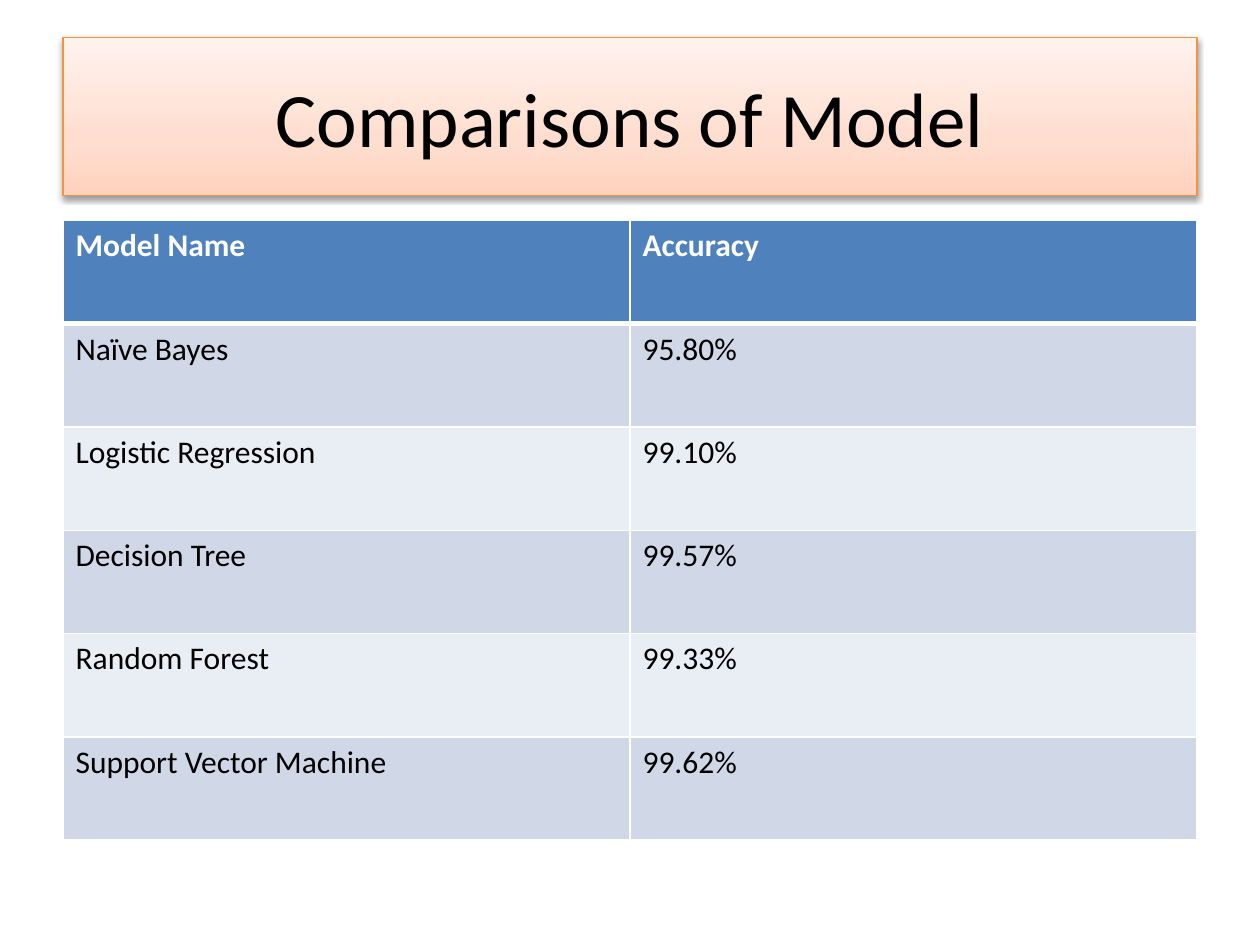
"""Build a slide that compares the accuracy of five classification models."""
from copy import deepcopy
from dataclasses import dataclass

from lxml.etree import SubElement
from pptx import Presentation
from pptx.dml.color import RGBColor
from pptx.enum.text import MSO_ANCHOR, PP_ALIGN
from pptx.oxml.ns import qn
from pptx.util import Inches, Pt

COLORS = {
    "black": "000000",
    "white": "FFFFFF",
    "header": "4F81BD",
    "odd_row": "D0D8E8",
    "even_row": "E9EDF4",
    "title_line": "F69240",
}
TITLE_GRADIENT = [(0, "FFD2BD"), (0.35, "FFDED0"), (1, "FFF2ED")]
TITLE_SHADOW = {"blurRad": Pt(3.1), "dist": Pt(1.6), "dir": 90 * 60000, "rotWithShape": 0}
LEFT, WIDTH = Inches(0.5), Inches(9)
ROW_HEIGHT = Inches(0.82)


@dataclass
class ModelScore:
    name: str
    accuracy: str


SCORES = [
    ModelScore("Naïve Bayes", "95.80%"),
    ModelScore("Logistic Regression", "99.10%"),
    ModelScore("Decision Tree", "99.57%"),
    ModelScore("Random Forest", "99.33%"),
    ModelScore("Support Vector Machine", "99.62%"),
]


def rgb(name: str) -> RGBColor:
    return RGBColor.from_string(COLORS[name])


def format_text(paragraph, size: int, color: str, bold: bool = False) -> None:
    font = paragraph.runs[0].font
    for attribute, value in {"name": "Calibri", "size": Pt(size), "bold": bold}.items():
        setattr(font, attribute, value)
    font.color.rgb = rgb(color)


def fill_title_gradient(shape) -> None:
    shape.fill.gradient()
    shape.fill.gradient_angle = 90
    stop_list = shape.element.spPr.find(".//" + qn("a:gsLst"))
    stop_list.insert(1, deepcopy(stop_list[0]))
    for stop, (position, color) in zip(shape.fill.gradient_stops, TITLE_GRADIENT):
        stop.position = position
        stop.color.rgb = RGBColor.from_string(color)


def add_title_shadow(shape) -> None:
    shape.shadow.inherit = False
    effects = shape.element.spPr.find(qn("a:effectLst"))
    attributes = {key: str(value) for key, value in TITLE_SHADOW.items()}
    shadow = SubElement(effects, qn("a:outerShdw"), attributes)
    color = SubElement(shadow, qn("a:srgbClr"), val=COLORS["black"])
    SubElement(color, qn("a:alpha"), val="38000")


def draw_title(slide, text: str) -> None:
    title = slide.shapes.title
    placement = {"left": LEFT, "top": Inches(0.3), "width": WIDTH, "height": Inches(1.25)}
    for attribute, value in placement.items():
        setattr(title, attribute, value)
    fill_title_gradient(title)
    title.line.color.rgb = rgb("title_line")
    title.line.width = Pt(0.75)
    add_title_shadow(title)
    title.text_frame.text = text
    title.text_frame.vertical_anchor = MSO_ANCHOR.MIDDLE
    paragraph = title.text_frame.paragraphs[0]
    paragraph.alignment = PP_ALIGN.CENTER
    format_text(paragraph, 44, "black")


def set_borders(cell, top: float, bottom: float) -> None:
    properties = cell._tc.get_or_add_tcPr()
    for side, width in {"L": 1, "R": 1, "T": top, "B": bottom}.items():
        line = SubElement(properties, qn(f"a:ln{side}"), w=str(Pt(width)))
        fill = SubElement(line, qn("a:solidFill"))
        SubElement(fill, qn("a:srgbClr"), val=COLORS["white"])


def draw_row(table, index: int, score: ModelScore) -> None:
    is_header = index == 0
    fill_color = "header" if is_header else "odd_row" if index % 2 else "even_row"
    table.rows[index].height = ROW_HEIGHT
    for cell, text in zip(table.rows[index].cells, (score.name, score.accuracy)):
        cell.text = text
        format_text(cell.text_frame.paragraphs[0], 18, "white" if is_header else "black", is_header)
        set_borders(cell, top=3 if index == 1 else 1, bottom=3 if is_header else 1)
        cell.fill.solid()
        cell.fill.fore_color.rgb = rgb(fill_color)


def draw_table(slide, rows: list[ModelScore]) -> None:
    frame = slide.shapes.add_table(len(rows), 2, LEFT, Inches(1.75), WIDTH, ROW_HEIGHT * len(rows))
    for index, score in enumerate(rows):
        draw_row(frame.table, index, score)


def main() -> None:
    presentation = Presentation()
    presentation.slide_width = Inches(10)
    presentation.slide_height = Inches(7.5)
    slide = presentation.slides.add_slide(presentation.slide_layouts.get_by_name("Title Only"))
    draw_title(slide, "Comparisons of Model")
    draw_table(slide, [ModelScore("Model Name", "Accuracy"), *SCORES])
    presentation.save("out.pptx")


if __name__ == "__main__":
    main()
